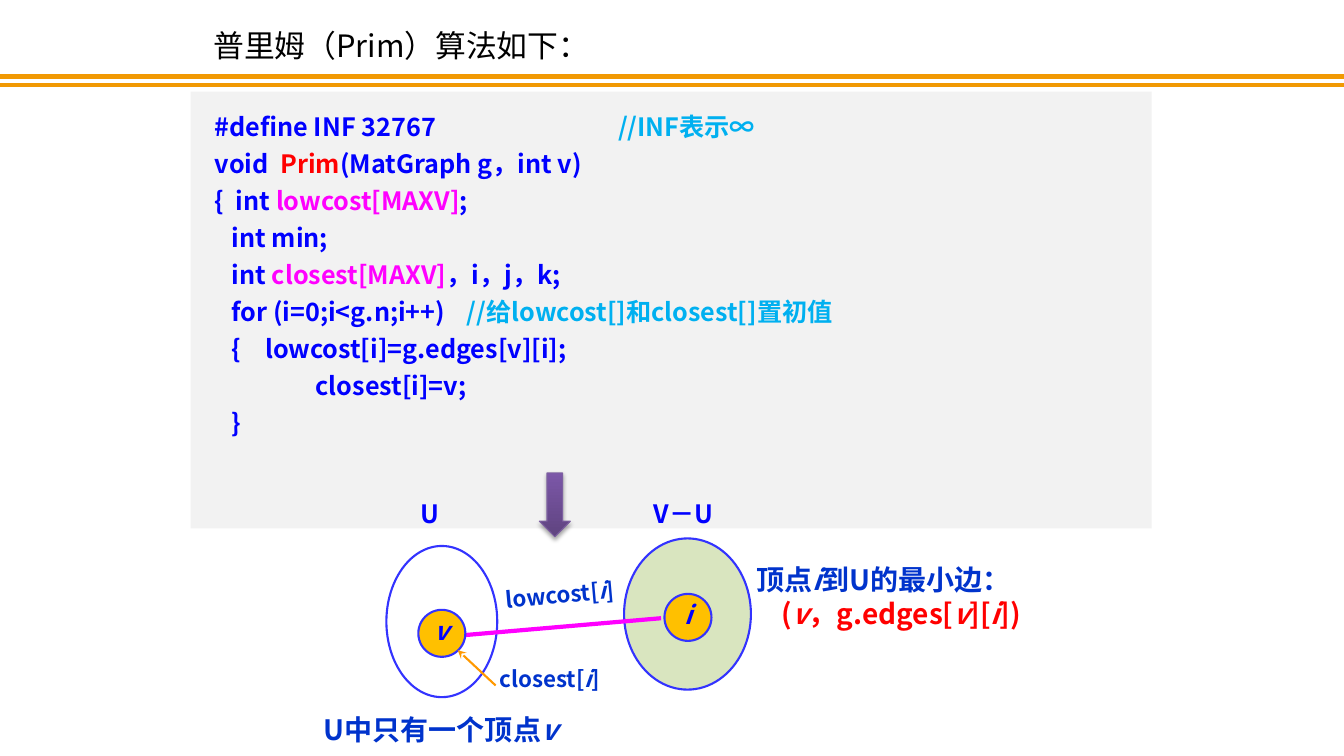
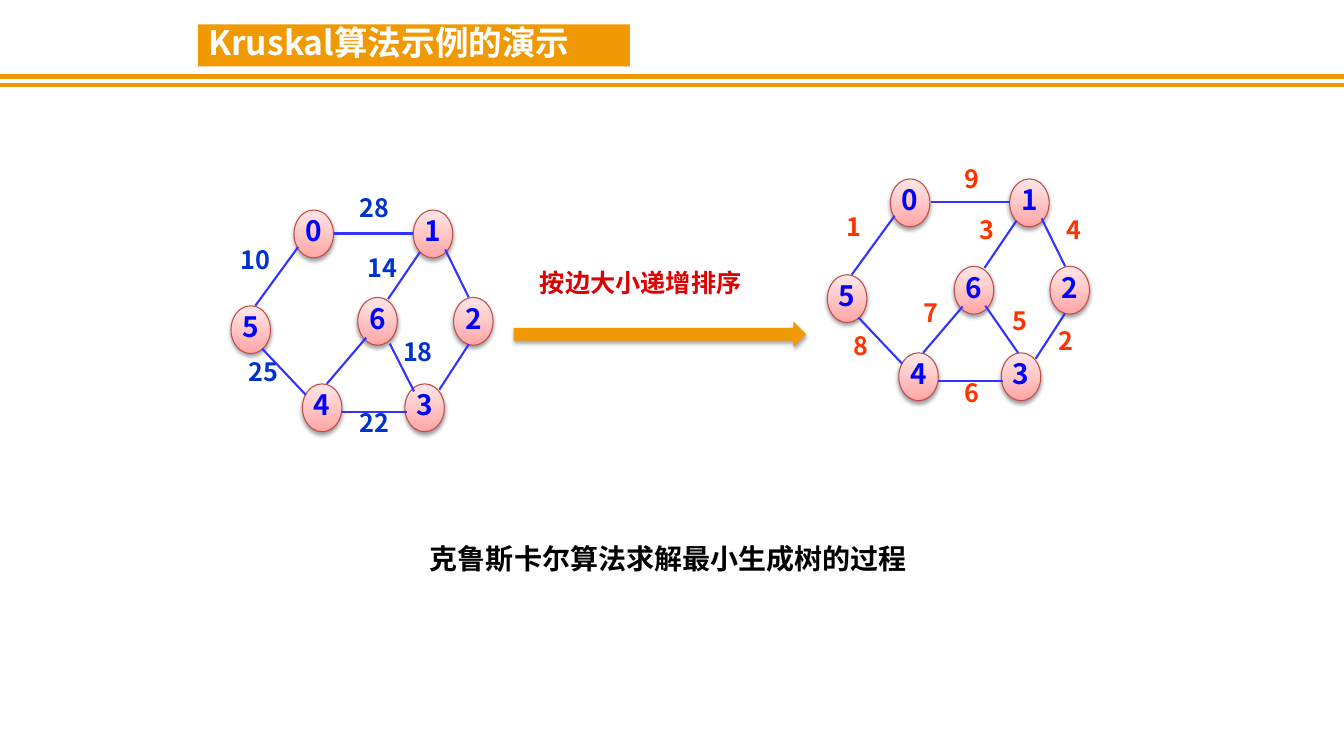
from lxml import etree
from pptx import Presentation
from pptx.dml.color import RGBColor
from pptx.enum.shapes import MSO_CONNECTOR, MSO_SHAPE
from pptx.enum.text import MSO_ANCHOR, MSO_AUTO_SIZE, PP_ALIGN
from pptx.oxml.ns import qn
from pptx.util import Emu, Inches, Pt

OVAL, RECT = MSO_SHAPE.OVAL, MSO_SHAPE.RECTANGLE
DOWN, RIGHT = MSO_SHAPE.DOWN_ARROW, MSO_SHAPE.RIGHT_ARROW
LEFT, MID = PP_ALIGN.LEFT, PP_ALIGN.CENTER
TITLE = "title"

# Grid: 160 columns by 90 rows of square cells
COLS, ROWS = 160, 90
CELL = Inches(1) // 12

FONT = "Noto Sans CJK SC"
WHITE = RGBColor(0xFF, 0xFF, 0xFF)
BLACK = RGBColor(0x00, 0x00, 0x00)
GOLD = RGBColor(0xF1, 0x99, 0x03)
GREY = RGBColor(0xF2, 0xF2, 0xF2)
BLUE = RGBColor(0x00, 0x00, 0xFF)
NAVY = RGBColor(0x00, 0x33, 0xCC)
EDGE = RGBColor(0x33, 0x33, 0xFF)
SKY = RGBColor(0x00, 0xB0, 0xF0)
RED = RGBColor(0xFF, 0x00, 0x00)
CRIMSON = RGBColor(0xDB, 0x03, 0x03)
SCARLET = RGBColor(0xFF, 0x33, 0x00)
PINK = RGBColor(0xFF, 0x00, 0xFF)
GREEN = RGBColor(0xC3, 0xD6, 0x9B)
AMBER = RGBColor(0xFF, 0xC0, 0x00)
ORANGE = RGBColor(0xFF, 0x99, 0x00)
RIM = RGBColor(0xBF, 0x4C, 0x48)
ROSE = RGBColor(0xFF, 0xA6, 0xA5)
BLUSH = RGBColor(0xFF, 0xE7, 0xE7)
PLUM = RGBColor(0x5F, 0x44, 0x80)
LILAC = RGBColor(0x7C, 0x57, 0xA8)
MAUVE = RGBColor(0x7D, 0x60, 0xA0)


def put(slide, at, lines=(), size=18, color=BLUE, kind=None, align=LEFT,
        bold=True, space=0.8, fill=None, line=None, width=1.5, shade=0):
    """Place a box; lines hold (text, color) runs, and * toggles italics."""
    spot = [Emu(round(n * CELL)) for n in at]
    if kind == TITLE:
        shape = slide.shapes.title
        shape.left, shape.top, shape.width, shape.height = spot
    elif kind is None:
        shape = slide.shapes.add_textbox(*spot)
    else:
        shape = slide.shapes.add_shape(kind, *spot)
        shape.shadow.inherit = False
    # Fill (a list is a gradient), outline and shadow
    if isinstance(fill, list):
        shape.fill.gradient()
        shape.fill.gradient_angle = 90
        for stop, tint in zip(shape.fill.gradient_stops, fill):
            stop.color.rgb = tint
    elif fill is not None:
        shape.fill.solid()
        shape.fill.fore_color.rgb = fill
    else:
        shape.fill.background()
    if line is None:
        shape.line.fill.background()
    else:
        shape.line.color.rgb = line
        shape.line.width = Pt(width)
    if shade:
        glow = etree.SubElement(
            shape.element.spPr.find(qn("a:effectLst")), qn("a:outerShdw"),
            blurRad=str(Pt(3.1)), dist=str(Pt(1.8)), dir="5400000", rotWithShape="0")
        tint = etree.SubElement(glow, qn("a:srgbClr"), val=str(BLACK))
        etree.SubElement(tint, qn("a:alpha"), val=str(shade * 1000))
    # Text
    frame = shape.text_frame
    frame.word_wrap = kind != OVAL
    frame.auto_size = MSO_AUTO_SIZE.NONE
    frame.vertical_anchor = MSO_ANCHOR.MIDDLE if kind == OVAL else MSO_ANCHOR.TOP
    for row, runs in enumerate(lines):
        para = frame.add_paragraph() if row else frame.paragraphs[0]
        para.alignment, para.line_spacing, para.space_before = align, space, Pt(4.8)
        font = para.font
        font.name, font.size, font.bold = FONT, Pt(size), bold
        font.color.rgb = color
        etree.SubElement(font._rPr, qn("a:ea"), typeface=FONT)
        for text, tint in runs:
            for turn, part in enumerate(text.split("*")):
                if part:
                    run = para.add_run()
                    run.text = part
                    if turn % 2:
                        run.font.italic = True
                    if tint != color:
                        run.font.color.rgb = tint
    return shape


def link(slide, ends, color=EDGE, width=1.5):
    """Draw a straight line between two grid points."""
    rule = slide.shapes.add_connector(
        MSO_CONNECTOR.STRAIGHT, *[Emu(round(n * CELL)) for n in ends])
    rule.line.color.rgb = color
    rule.line.width = Pt(width)
    etree.SubElement(rule.element.spPr, qn("a:effectLst"))
    return rule


deck = Presentation()
deck.slide_width, deck.slide_height = COLS * CELL, ROWS * CELL
plain = deck.slide_layouts[5]
prim = deck.slides.add_slide(plain)
kruskal = deck.slides.add_slide(plain)

# Double rule under the titles, kept on the master
for y in (9.1, 10.1):
    rule = link(prim, (0, y, COLS, y), GOLD, 3)
    deck.slide_master.shapes.element.append(rule.element)

# Slide 1: title and code panel
put(prim, (24.2, 3.4, 91.4, 4.8), [[("普里姆（Prim）算法如下：", BLACK)]],
    22, BLACK, TITLE, bold=False)
code = [
    [("#define INF 32767\t\t", BLUE), ("//INF表示∞", SKY)],
    [("void  ", BLUE), ("Prim", RED), ("(MatGraph g，int v)", BLUE)],
    [("{  int ", BLUE), ("lowcost[MAXV]", PINK), (";", BLUE)],
    [("int min;", BLUE)],
    [("int ", BLUE), ("closest[MAXV]", PINK), ("，i，j，k;", BLUE)],
    [("for (i=0;i<g.n;i++)\t", BLUE), ("//给lowcost[]和closest[]置初值", SKY)],
    [("{\tlowcost[i]=g.edges[v][i];", BLUE)],
    [("\tclosest[i]=v;", BLUE)],
    [("}", BLUE)],
]
panel = put(prim, (22.7, 10.9, 114.4, 52), code, kind=RECT, space=1, fill=GREY)
frame = panel.text_frame
frame.margin_left = Inches(0.24)
frame.margin_top = frame.margin_bottom = Inches(0.2)
for row, para in enumerate(frame.paragraphs):
    props = para._p.get_or_add_pPr()
    if row in (3, 4, 5, 6, 8):
        props.set("indent", str(2 * CELL))
    tabs = etree.Element(qn("a:tabLst"))
    for inch in range(1, 5):
        etree.SubElement(tabs, qn("a:tab"), pos=str(Inches(inch)), algn="l")
    props.find(qn("a:defRPr")).addprevious(tabs)

# Vertex sets U and V－U
pool = put(prim, (74.3, 64.1, 15.1, 18), kind=OVAL, fill=GREEN, line=EDGE)
tint = pool.element.spPr.find(qn("a:solidFill"))[0]
etree.SubElement(tint, qn("a:alpha"), val="63000")
put(prim, (46, 65, 13.2, 18), kind=OVAL, line=EDGE)
for text, x, wide in (("U", 47.9, 6.6), ("V－U", 74.3, 14.2)):
    put(prim, (x, 59.4, wide, 4.1), [[(text, BLUE)]], align=MID)

# Edge from v to i, with its labels
link(prim, (55.4, 75.6, 78.7, 73.6), PINK, 3)
for name, x, y in (("*i*", 79.1, 70.7), ("*v*", 49.8, 72.6)):
    put(prim, (x, y, 5.6, 5.6), [[(name, BLUE)]], kind=OVAL, align=MID,
        fill=AMBER, line=EDGE)
cost = put(prim, (57.7, 69.2, 18, 3.8), [[("lowcost[*i*]", NAVY)]], 16, NAVY, align=MID)
cost.rotation = 354.9
hint = link(prim, (59, 81.6, 54.5, 77.4), ORANGE)
etree.SubElement(hint.element.spPr.find(qn("a:ln")), qn("a:tailEnd"), type="stealth")
put(prim, (58.3, 79.2, 19.8, 3.8), [[("closest[*i*]", NAVY)]], 16, NAVY)
put(prim, (64.2, 56.3, 3.7, 7.6), kind=DOWN, fill=[PLUM, LILAC], line=MAUVE,
    width=0.75, shade=35)

# Remarks
put(prim, (36.5, 85, 31.9, 4.4), [[("U中只有一个顶点*v*", NAVY)]], 20, NAVY, align=MID)
note = put(prim, (88.9, 67.2, 44, 9.7),
           [[("顶点*i*到U的最小边：", NAVY)], [("(*v*，g.edges[*v*][*i*])", RED)]],
           20, NAVY)
note.text_frame.paragraphs[1]._p.get_or_add_pPr().set("indent", str(3 * CELL))

# Slide 2: title and caption
put(kruskal, (23.6, 2.9, 51.4, 5), [[("Kruskal算法示例的演示", WHITE)]],
    24, WHITE, TITLE, fill=GOLD)
put(kruskal, (50, 64.7, 72.8, 4.4), [[("克鲁斯卡尔算法求解最小生成树的过程", BLACK)]], 20, BLACK)

# The same graph twice: by weight, then by rank
nodes = {"0": (35, 25), "1": (49.2, 25), "5": (27.5, 36.4), "4": (36, 45.7),
         "3": (48.2, 45.7), "6": (42.6, 35.4), "2": (54, 35.4)}
edges = [(39.8, 27.8, 49.2, 27.8), (35.5, 29.4, 30.4, 36.4),
         (31.2, 41.5, 36.4, 47), (40.7, 49.1, 48.4, 49.1),
         (38.9, 45.7, 43.6, 40.2), (50, 30, 46.2, 35.6),
         (53, 29.7, 55.8, 35.4), (55.8, 41, 52.3, 46.4)]
sizes = {"28": (41.6, 23), "10": (27.5, 29.2), "14": (42.6, 30.1),
         "25": (28.4, 42.5), "18": (46.8, 40.1), "22": (41.6, 48.6)}
ranks = {"1": (99.6, 25.3), "2": (124.8, 38.8), "3": (115.4, 25.6),
         "4": (125.8, 25.6), "5": (119.3, 36.4), "6": (113.6, 45),
         "7": (108.8, 35.5), "8": (100.4, 39.4), "9": (113.6, 19.6)}
graphs = [
    (0, 0, (46.4, 40.9, 49.3, 46.6), sizes, 6.6, NAVY, LEFT),
    (71, -3.7, (46.3, 40.1, 50.2, 45.7), ranks, 3.7, SCARLET, MID),
]
for dx, dy, extra, marks, wide, color, align in graphs:
    for name, (x, y) in nodes.items():
        put(kruskal, (x + dx, y + dy, 4.7, 5.7), [[(name, BLUE)]], 20, kind=OVAL,
            align=MID, fill=[ROSE, BLUSH], line=RIM, width=0.75, shade=38)
    for x1, y1, x2, y2 in edges + [extra]:
        link(kruskal, (x1 + dx, y1 + dy, x2 + dx, y2 + dy))
    for mark, (x, y) in marks.items():
        put(kruskal, (x, y, wide, 4.1), [[(mark, color)]], color=color, align=align)

# Sorting step between the graphs
put(kruskal, (63.1, 31.9, 33.1, 4.1), [[("按边大小递增排序", CRIMSON)]], color=CRIMSON)
put(kruskal, (61.2, 38.4, 34.7, 2.8), kind=RIGHT, fill=GOLD, line=GOLD,
    width=0.75, shade=35)

deck.save("out.pptx")
